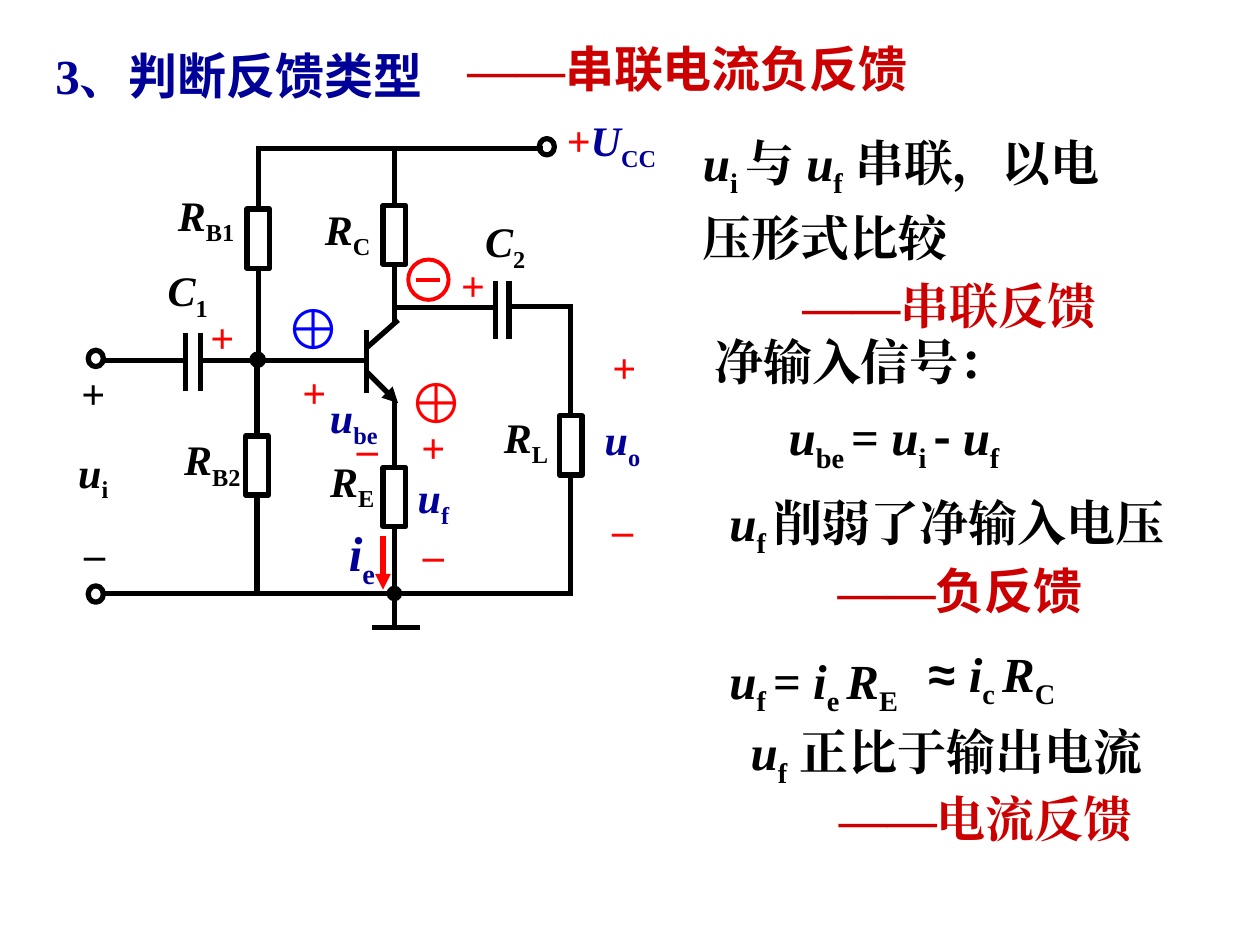
from collections import namedtuple
from dataclasses import dataclass

from lxml import etree
from pptx import Presentation
from pptx import util as u
from pptx.dml.color import RGBColor
from pptx.enum import shapes, text
from pptx.oxml.ns import qn

PX = 9144
Area = namedtuple("Area", "shapes x y")


@dataclass(frozen=True)
class Theme:
    """Colours, faces and type sizes of the slide."""
    black: str = "000000"
    navy: str = "000099"
    blue: str = "0000FF"
    red: str = "FF0000"
    deep: str = "CC0000"
    serif: str = "Times New Roman"
    sans: str = "Noto Sans CJK SC"
    plain: str = "Arial"
    label: int = 24
    body: int = 28
    mark: int = 32
    wire: float = 3
    thin: float = 2.25


T = Theme()
MID = {"align": text.PP_ALIGN.CENTER, "anchor": text.MSO_ANCHOR.MIDDLE}


def place(area, x, y):
    """Turn a point of the area into slide EMU."""
    return (area.x + x) * PX, (area.y + y) * PX


def run(words, **style):
    """Pair words with the format that differs from their box."""
    return words, style


def var(base, sub, **style):
    """Return an italic symbol with its subscript."""
    return [run(base, slant=True, **style), run(sub, low=True, **style)]


def write(area, at, *lines, size=T.label, ink=T.black, face=T.serif, wrap=False,
          align=None, anchor=text.MSO_ANCHOR.TOP, lead=None, pads=()):
    """Set lines of runs in a text box, with optional left and right pads."""
    x, y, w, h = at
    frame = area.shapes.add_textbox(*place(area, x, y), w * PX, h * PX).text_frame
    frame.word_wrap = wrap
    frame.auto_size = text.MSO_AUTO_SIZE.SHAPE_TO_FIT_TEXT
    frame.vertical_anchor = anchor
    for n, line in enumerate(lines):
        para = frame.add_paragraph() if n else frame.paragraphs[0]
        para.alignment = align
        para.line_spacing = lead
        if n < len(pads):
            props = para._p.get_or_add_pPr()
            for side, pad in zip(("marL", "marR"), pads[n]):
                props.set(side, str(pad * PX))
        for words, style in line:
            part = para.add_run()
            part.text = words
            font = part.font
            font.size, font.bold = u.Pt(size), True
            font.italic = style.get("slant", False)
            font.color.rgb = RGBColor.from_string(style.get("ink", ink))
            font.name = style.get("face", face)
            props = part._r.get_or_add_rPr()
            etree.SubElement(props, qn("a:ea")).set("typeface", font.name)
            if style.get("low"):
                props.set("baseline", "-25000")


def wire(area, start, end, ink=T.black, width=T.wire, head=None, tail=None):
    """Draw a line between points or (shape, side) joints."""
    spots = [place(area, *p) if isinstance(p[0], int) else (0, 0) for p in (start, end)]
    link = area.shapes.add_connector(shapes.MSO_CONNECTOR.STRAIGHT, *spots[0], *spots[1])
    for p, join in ((start, link.begin_connect), (end, link.end_connect)):
        if not isinstance(p[0], int):
            join(*p)
    link.line.color.rgb = RGBColor.from_string(ink)
    link.line.width = u.Pt(width)
    for tag, kind in (("a:headEnd", head), ("a:tailEnd", tail)):
        if kind:
            etree.SubElement(link.get_or_add_ln(), qn(tag)).set("type", kind)
    etree.SubElement(link._element.spPr, qn("a:effectLst"))


def form(area, kind, x, y, w, h, ink=T.black, width=T.wire, fill=None):
    """Draw an outlined preset shape."""
    shape = area.shapes.add_shape(kind, *place(area, x, y), w * PX, h * PX)
    shape.shadow.inherit = False
    shape.line.color.rgb = RGBColor.from_string(ink)
    shape.line.width = u.Pt(width)
    if fill:
        shape.fill.solid()
        shape.fill.fore_color.rgb = RGBColor.from_string(fill)
    else:
        shape.fill.background()
    return shape


def title(area):
    """Write the heading and its answer."""
    write(area, (0, 5, 329, 57),
          [run("3、"), run("判断反馈类型", face=T.sans)],
          size=T.body, ink=T.navy, wrap=True)
    write(area, (318, 0, 389, 57),
          [run("——"), run("串联电流负反馈", face=T.sans)],
          size=T.body, ink=T.deep, wrap=True, pads=[(9, 0)])


def circuit(area):
    """Draw the amplifier's parts and wires."""
    oval, rect = shapes.MSO_SHAPE.OVAL, shapes.MSO_SHAPE.RECTANGLE
    rb1, rc, rb2, re, rl = [
        form(area, rect, x, y, 18, 47)
        for x, y in ((156, 86), (264, 83), (155, 266), (264, 291), (404, 250))]
    for start, end in (
            ((rb1, 0), (165, 36)), ((165, 38), (391, 38)), ((rc, 0), (273, 38)),
            ((rb1, 2), (165, 206)), ((164, 206), (rb2, 0)), ((rb2, 2), (164, 391)),
            ((rc, 2), (273, 176)), ((273, 238), (re, 0)), ((re, 2), (273, 391)),
            ((413, 162), (rl, 0)), ((rl, 2), (413, 393)),
            ((251, 182), (251, 232)), ((251, 196), (276, 174)),
            ((43, 206), (106, 206)), ((118, 206), (252, 206)),
            ((273, 164), (353, 164)), ((364, 163), (415, 163)),
            ((43, 391), (415, 391)), ((255, 418), (293, 418))):
        wire(area, start, end)
    for x, y in ((107, 184), (119, 184), (353, 143), (364, 143)):
        wire(area, (x, y), (x, y + 46))
    wire(area, (251, 215), (276, 240), tail="triangle")
    wire(area, (273, 391), (273, 416), head="oval")
    wire(area, (264, 345), (264, 388), ink=T.red, tail="triangle")
    for x, y in ((388, 30), (30, 198), (30, 385)):
        form(area, oval, x, y, 12, 13)
    form(area, oval, 160, 201, 9, 9, fill=T.black)
    form(area, oval, 284, 126, 32, 32, ink=T.red, width=T.thin)
    wire(area, (290, 142), (309, 142), ink=T.red, width=T.thin)


def labels(area):
    """Name the circuit's parts and mark its polarities."""
    for x, y, w, base, sub, ink in (
            (91, 65, 65, "R", "B1", T.black), (208, 76, 56, "R", "C", T.black),
            (83, 125, 52, "C", "1", T.black), (335, 86, 52, "C", "2", T.black),
            (96, 259, 65, "R", "B2", T.black), (212, 276, 55, "R", "E", T.black),
            (350, 241, 55, "R", "L", T.black), (9, 269, 50, "u", "i", T.black),
            (424, 243, 60, "u", "o", T.navy)):
        write(area, (x, y, w, 56), var(base, sub), ink=ink, **MID)
    for x, y, w, sign, ink in (
            (117, 162, 39, "+", T.red), (316, 121, 39, "+", T.red),
            (436, 186, 39, "+", T.red), (436, 315, 36, "–", T.red),
            (13, 207, 42, "+", T.black), (17, 334, 36, "–", T.black)):
        write(area, (x, y, w, 50), [run(sign)], ink=ink, **MID)
    for x, y, ink in ((177, 148, T.blue), (274, 207, T.red)):
        write(area, (x, y, 55, 64), [run("⊕")], size=T.mark, ink=ink, face=T.plain)
    write(area, (400, 6, 91, 56), [run("+", ink=T.red), *var("U", "CC")],
          ink=T.navy, anchor=text.MSO_ANCHOR.MIDDLE)
    write(area, (212, 226, 58, 56), var("u", "be"), ink=T.navy)
    write(area, (227, 330, 41, 63), var("i", "e"), size=T.body, ink=T.navy)
    write(area, (275, 249, 66, 136), [run("+")], var("u", "f", ink=T.navy), [run("–")],
          ink=T.red, wrap=True, pads=[(0, 8)], **MID)
    write(area, (143, 202, 150, 98), [run("+")], [run("–")],
          ink=T.red, wrap=True, lead=1.1, pads=[(0, 17), (67, 0)], **MID)


def notes(area):
    """Write the reasoning beside the circuit."""
    wide = {"size": T.body, "wrap": True}
    tall = {**wide, "lead": 1.15}
    write(area, (8, 2, 355, 232),
          [*var("u", "i "), run("与 "), *var("u", "f"), run(" 串联，以电压形式比较")],
          [run("——串联反馈", ink=T.deep)], pads=[(0, 0), (79, 0)], **tall)
    write(area, (17, 168, 253, 57), [run("净输入信号：")], size=T.body)
    write(area, (67, 220, 247, 71),
          [*var("u", "be "), run("= "), *var("u", "i "), run("- ", face=T.sans),
           *var("u", "f")], pads=[(9, 0)], **tall)
    write(area, (29, 288, 387, 71), [*var("u", "f "), run("削弱了净输入电压")], **tall)
    write(area, (115, 350, 258, 57), [run("——"), run("负反馈", face=T.sans)],
          ink=T.deep, **wide)
    write(area, (20, 413, 200, 71),
          [*var("u", "f "), run("= "), *var("i", "e "), *var("R", "E")],
          pads=[(9, 0)], **tall)
    write(area, (187, 408, 142, 71),
          [run("≈ ", face=T.plain), *var("i", "c "), *var("R", "C")], **tall)
    write(area, (46, 478, 368, 157), [*var("u", "f"), run(" 正比于输出电流")],
          [run("——电流反馈", ink=T.deep)], pads=[(0, 0), (70, 0)], **wide)


def main():
    """Build the slide and save it."""
    deck = Presentation()
    deck.slide_width, deck.slide_height = 1000 * PX, 750 * PX
    slide = deck.slides.add_slide(deck.slide_layouts[6])
    title(Area(slide.shapes, 34, 26))
    circuit(Area(slide.shapes, 40, 80))
    labels(Area(slide.shapes, 40, 80))
    notes(Area(slide.shapes, 540, 90))
    deck.save("out.pptx")


if __name__ == "__main__":
    main()
